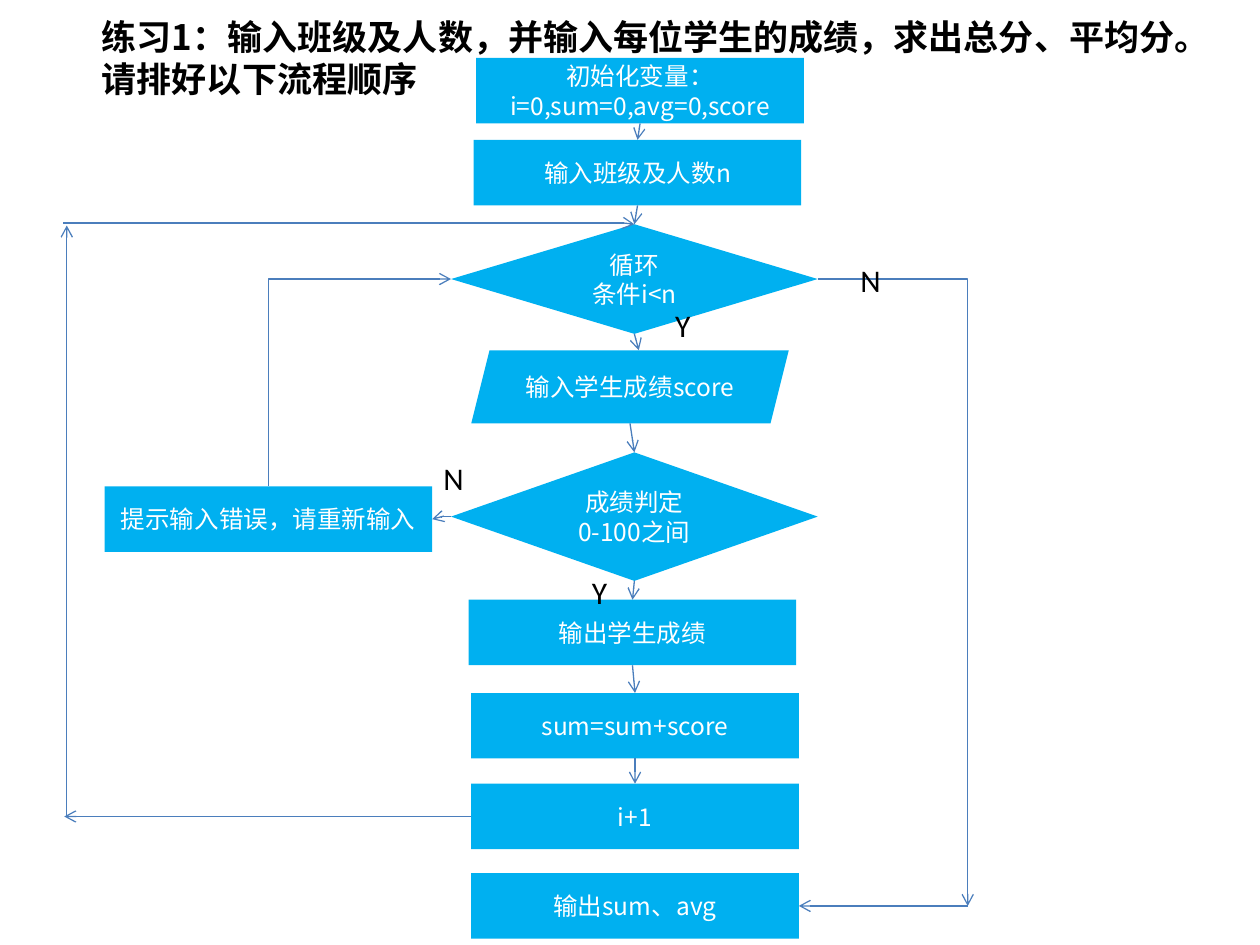
import dataclasses

import pptx
import pptx.dml.color
import pptx.enum.shapes
import pptx.enum.text
import pptx.oxml
import pptx.oxml.ns
import pptx.util

Inches = pptx.util.Inches
SHAPE = pptx.enum.shapes.MSO_SHAPE
LINK = pptx.enum.shapes.MSO_CONNECTOR
ALIGN = pptx.enum.text.PP_ALIGN
ANCHOR = pptx.enum.text.MSO_ANCHOR


@dataclasses.dataclass(frozen=True)
class Theme:
    """Colours, fonts and type sizes of the slide."""
    fill: str = "00B0F0"
    line: str = "4B7EBC"
    dark: str = "000000"
    light: str = "FFFFFF"
    cjk: str = "Noto Sans CJK SC"
    latin: str = "Calibri"
    title: int = 20
    label: int = 18
    step: int = 14
    stroke: float = 0.75


THEME = Theme()
BOX_W, BOX_H = 2.6, 0.52
DIAMOND_W = 2.91


def rgb(value):
    """Return the colour for a hex string."""
    return pptx.dml.color.RGBColor.from_string(value)


def add_xml(parent, tag, **attrs):
    """Append a DrawingML element with the given attributes."""
    el = pptx.oxml.parse_xml(f"<a:{tag} {pptx.oxml.ns.nsdecls('a')}/>")
    for name, value in attrs.items():
        el.set(name, value)
    parent.append(el)


def write(tf, text, *, size, color, font, bold=False, align=ALIGN.LEFT):
    """Write each line of text as a formatted paragraph."""
    for i, line in enumerate(text.split("\n")):
        p = tf.paragraphs[0] if i == 0 else tf.add_paragraph()
        p.alignment = align
        r = p.add_run()
        r.text = line
        r.font.size = pptx.util.Pt(size)
        r.font.bold = bold
        r.font.name = font
        r.font.color.rgb = rgb(color)
        add_xml(r.font._element, "ea", typeface=font)


def add_text(s, left, top, width, height, text, **fmt):
    """Add an unwrapped text box that fits its text."""
    tf = s.shapes.add_textbox(*map(Inches, (left, top, width, height))).text_frame
    tf.word_wrap = False
    tf.auto_size = pptx.enum.text.MSO_AUTO_SIZE.SHAPE_TO_FIT_TEXT
    write(tf, text, **fmt)


def add_step(s, text, left, top, kind=SHAPE.RECTANGLE, width=BOX_W, height=BOX_H):
    """Add one filled flowchart step."""
    sp = s.shapes.add_shape(kind, *map(Inches, (left, top, width, height)))
    sp.shadow.inherit = False
    sp.fill.solid()
    sp.fill.fore_color.rgb = rgb(THEME.fill)
    sp.line.fill.background()
    sp.text_frame.word_wrap = True
    sp.text_frame.vertical_anchor = ANCHOR.MIDDLE
    write(sp.text_frame, text, size=THEME.step, color=THEME.light,
          font=THEME.cjk, align=ALIGN.CENTER)
    return sp


def port(sp, side, shift=0):
    """Return the middle of a side of a step, moved sideways by shift."""
    fx, fy = {"top": (0.5, 0), "bottom": (0.5, 1), "left": (0, 0.5), "right": (1, 0.5)}[side]
    return sp.left + int(sp.width * fx) + Inches(shift), sp.top + int(sp.height * fy)


def add_arrow(s, start, end, kind=LINK.STRAIGHT, corner=False, arrow="tailEnd"):
    """Add a connector, with a single corner if asked, and an arrowhead."""
    c = s.shapes.add_connector(kind, *start, *end)
    c.line.color.rgb = rgb(THEME.line)
    c.line.width = pptx.util.Pt(THEME.stroke)
    pr = c._element.spPr
    if corner:
        pr.find(pptx.oxml.ns.qn("a:prstGeom")).set("prst", "bentConnector2")
    add_xml(c.line._get_or_add_ln(), arrow, type="arrow")
    add_xml(pr, "effectLst")


def main():
    """Build the flowchart slide."""
    prs = pptx.Presentation()
    prs.slide_width, prs.slide_height = Inches(10), Inches(7.5)
    s = prs.slides.add_slide(prs.slide_layouts[6])

    add_text(s, 0.71, 0.07, 9.09, 0.77,
             "练习1：输入班级及人数，并输入每位学生的成绩，求出总分、平均分。\n请排好以下流程顺序",
             size=THEME.title, color=THEME.dark, font=THEME.cjk, bold=True)

    init = add_step(s, "初始化变量：i=0,sum=0,avg=0,score", 3.78, 0.46)
    count = add_step(s, "输入班级及人数n", 3.76, 1.11)
    loop = add_step(s, "循环\n条件i<n", 3.58, 1.78, SHAPE.DIAMOND, DIAMOND_W, 0.87)
    score = add_step(s, "输入学生成绩score", 3.74, 2.78, SHAPE.PARALLELOGRAM, 2.52, 0.58)
    check = add_step(s, "成绩判定\n0-100之间", 3.58, 3.59, SHAPE.DIAMOND, DIAMOND_W, 1.02)
    show = add_step(s, "输出学生成绩", 3.72, 4.76)
    total = add_step(s, "sum=sum+score", 3.74, 5.5)
    step = add_step(s, "i+1", 3.74, 6.22)
    error = add_step(s, "提示输入错误，请重新输入", 0.83, 3.86)
    result = add_step(s, "输出sum、avg", 3.74, 6.93)

    flow = [init, count, loop, score, check, show, total, step]
    for upper, lower in zip(flow, flow[1:]):
        shift = 0.07 if lower is score else 0
        add_arrow(s, port(upper, "bottom"), port(lower, "top", shift))

    step_left, loop_top = port(step, "left"), port(loop, "top")
    add_arrow(s, step_left, (Inches(0.51), step_left[1]))
    add_arrow(s, (Inches(0.53), step_left[1]), (Inches(0.53), Inches(1.79)))
    add_arrow(s, (Inches(0.5), Inches(1.77)), loop_top, LINK.ELBOW, corner=True)

    result_right = port(result, "right")
    turn = Inches(7.68), result_right[1]
    add_arrow(s, port(loop, "right"), turn, LINK.ELBOW, corner=True)
    add_arrow(s, turn, result_right)

    add_arrow(s, port(check, "left"), port(error, "right"), LINK.ELBOW)
    add_arrow(s, port(loop, "left"), port(error, "top"), LINK.ELBOW,
              corner=True, arrow="headEnd")

    for text, left, top in [("Y", 5.26, 2.38), ("N", 6.73, 2.02),
                            ("Y", 4.6, 4.5), ("N", 3.42, 3.59)]:
        add_text(s, left, top, 0.34, 0.4, text,
                 size=THEME.label, color=THEME.dark, font=THEME.latin)

    prs.save("out.pptx")


main()
